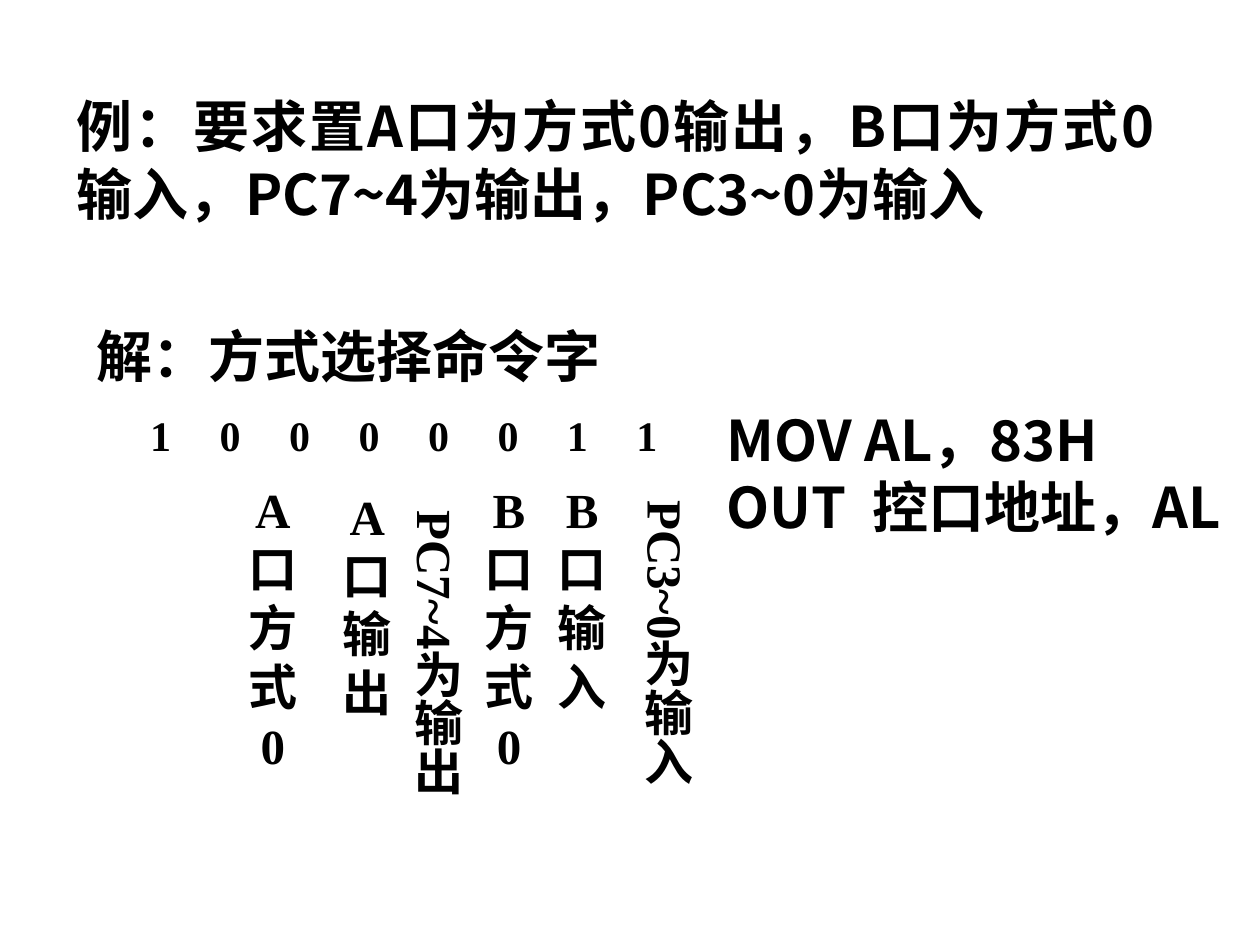
from lxml import etree
from pptx import Presentation
from pptx.dml.color import RGBColor
from pptx.enum import shapes, text
from pptx.oxml import ns
from pptx import util as u

COLORS = {"ink": "000000", "cell_line": "FFFFFF"}
SANS = "Noto Sans CJK SC"
SERIF = "Times New Roman"
JUSTIFY = text.PP_ALIGN.JUSTIFY
CENTER = text.PP_ALIGN.CENTER
TOP = text.MSO_ANCHOR.TOP
MIDDLE = text.MSO_ANCHOR.MIDDLE


class SlideBuilder:
    """Holds the slide and its bold black text style."""

    def __init__(self, slide):
        self.slide = slide

    def fill_text(self, shape, content, size, font, alignment, anchor=TOP, margins=(0.1, 0.05)):
        frame = shape.text_frame
        frame.text = content
        frame.word_wrap = True
        frame.auto_size = text.MSO_AUTO_SIZE.NONE
        frame.vertical_anchor = anchor
        frame.margin_left = frame.margin_right = u.Inches(margins[0])
        frame.margin_top = frame.margin_bottom = u.Inches(margins[1])
        for paragraph in frame.paragraphs:
            paragraph.alignment = alignment
            for run in paragraph.runs:
                run.font.size = u.Pt(size)
                run.font.bold = True
                run.font.color.rgb = RGBColor.from_string(COLORS["ink"])
                run.font.name = font
                east_asian = etree.SubElement(run._r.get_or_add_rPr(), ns.qn("a:ea"))
                east_asian.set("typeface", SANS)

    def title(self, content, left, top, width, height):
        shape = self.slide.shapes.title
        shape.left, shape.top = u.Inches(left), u.Inches(top)
        shape.width, shape.height = u.Inches(width), u.Inches(height)
        self.fill_text(shape, content, 32, SANS, JUSTIFY)

    def text_box(self, content, left, top, width, height, size=28, font=SERIF,
                 alignment=CENTER, margins=(0.1, 0.05)):
        shape = self.slide.shapes.add_textbox(
            u.Inches(left), u.Inches(top), u.Inches(width), u.Inches(height))
        self.fill_text(shape, content, size, font, alignment, margins=margins)
        return shape

    def vertical_label(self, content, left, top, width, height):
        shape = self.text_box(content, left, top, width, height, margins=(0.05, 0.1))
        shape.text_frame._txBody.bodyPr.set("vert", "eaVert")

    def bit_cell(self, bit, left, top, width, height):
        shape = self.slide.shapes.add_shape(
            shapes.MSO_SHAPE.RECTANGLE,
            u.Inches(left), u.Inches(top), u.Inches(width), u.Inches(height))
        shape.shadow.inherit = False
        shape.fill.background()
        shape.line.color.rgb = RGBColor.from_string(COLORS["cell_line"])
        shape.line.width = u.Pt(0.75)
        self.fill_text(shape, bit, 24, SERIF, CENTER, anchor=MIDDLE)


def main():
    presentation = Presentation()
    presentation.slide_width = u.Inches(10)
    presentation.slide_height = u.Inches(7.5)
    title_only = presentation.slide_layouts[5]
    builder = SlideBuilder(presentation.slides.add_slide(title_only))

    # Task
    builder.title("例：要求置A口为方式0输出，B口为方式0输入，PC7~4为输出，PC3~0为输入",
                  0.51, 0.68, 8.75, 1.17)

    # Assembly code
    builder.text_box("MOV AL，83H\nOUT  控口地址，AL", 5.67, 3.17, 5.08, 1.17,
                     size=32, font=SANS, alignment=JUSTIFY)

    # Solution heading
    builder.text_box("解：方式选择命令字", 0.67, 2.5, 5.75, 0.64,
                     size=32, alignment=JUSTIFY)

    # Meaning of each bit group
    for content, left, top, width, height in (
            ("A口\n方\n式\n0", 1.83, 3.76, 0.67, 2.44),
            ("A口\n输出", 2.58, 3.81, 0.67, 1.97),
            ("B口\n方\n式\n0", 3.75, 3.76, 0.58, 2.44),
            ("B口\n输入", 4.33, 3.76, 0.58, 1.97)):
        builder.text_box(content, left, top, width, height)
    builder.vertical_label("PC7~4为输出", 3.09, 3.95, 0.66, 3.55)
    builder.vertical_label("PC3~0为输入", 4.92, 3.87, 0.66, 3.13)

    # Control word, one cell per bit
    cell_width = 4.41 / 8
    for index, bit in enumerate("10000011"):
        builder.bit_cell(bit, 1 + index * cell_width, 3.2, cell_width, 0.5)

    presentation.save("out.pptx")


if __name__ == "__main__":
    main()
